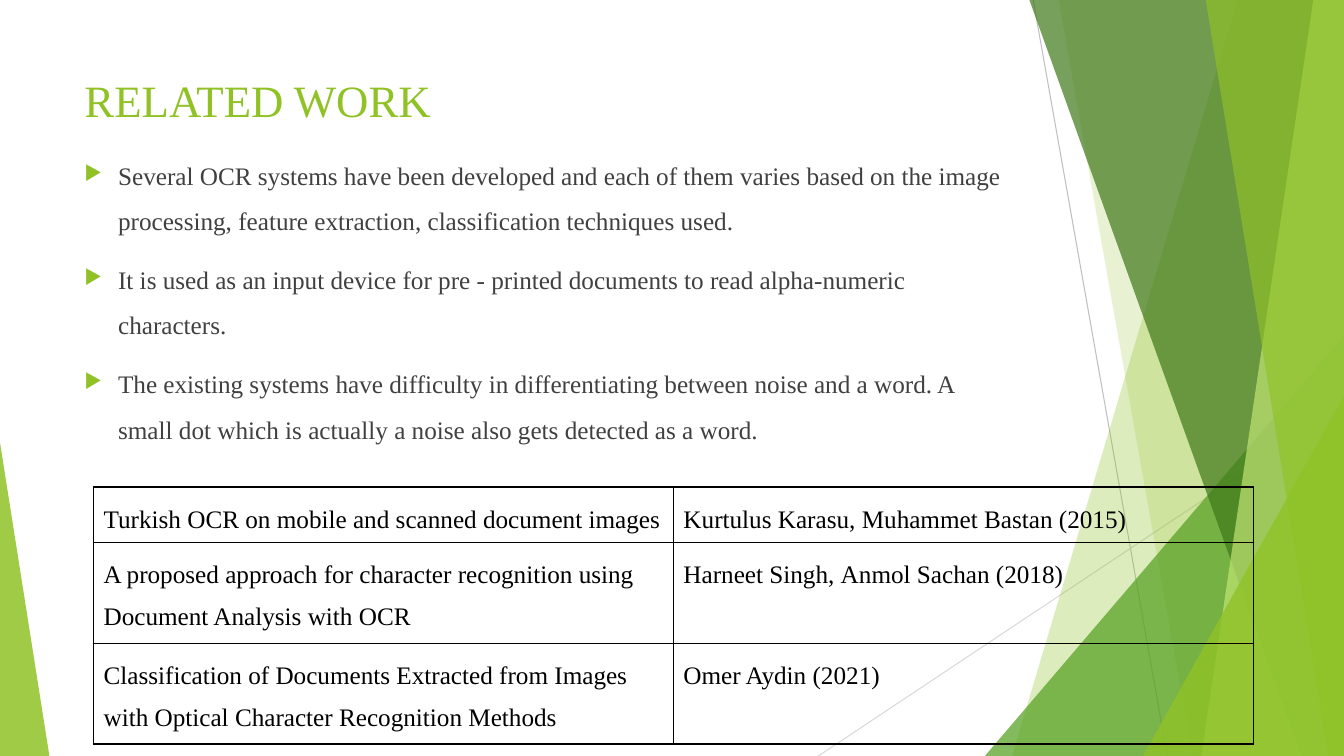
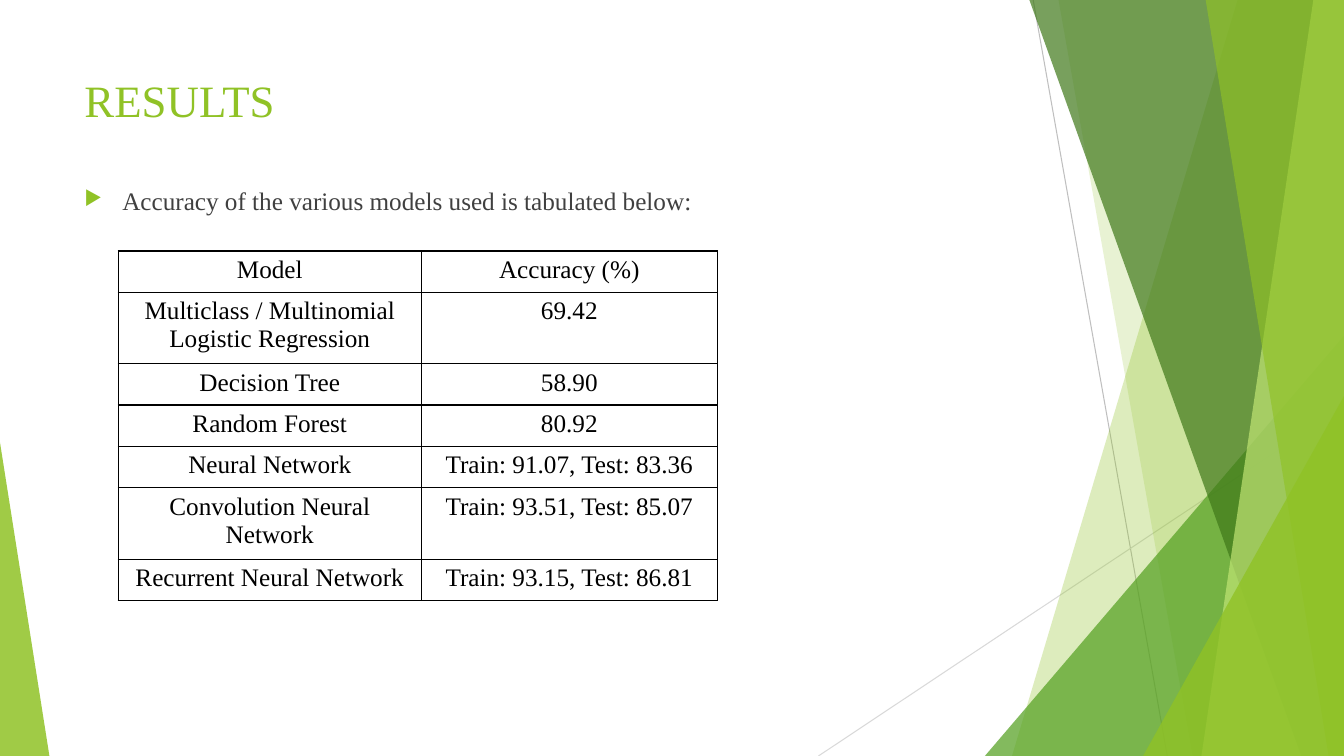
from lxml.etree import SubElement
from pptx import Presentation
from pptx.dml.color import RGBColor
from pptx.enum.shapes import MSO_CONNECTOR as Connector, MSO_SHAPE as Shape
from pptx.enum.text import MSO_ANCHOR as Anchor, PP_ALIGN as Align
from pptx.oxml import parse_xml
from pptx.oxml.ns import nsdecls, qn
from pptx.util import Pt

WIDTH, HEIGHT = 960, 540
BAND_TOP = -0.6
LEFT, TEXT_WIDTH = 53.3, 676.8
FONT = "Times New Roman"
TITLE_SIZE, BODY_SIZE = 32, 18
COLORS = {
    "lime": "90C226",
    "green": "54A021",
    "forest": "3F7819",
    "pale": "C0E474",
    "text": "404040",
    "black": "000000",
    "gray": "BFBFBF",
    "light_gray": "D9D9D9",
}

RELATED_POINTS = [
    "Several OCR systems have been developed and each of them varies based on the image "
    "processing,\u00a0feature extraction, classification techniques used.",
    "It is used as an input device for pre - printed documents to read alpha-numeric characters.",
    "The existing systems have difficulty in differentiating between noise and a word. "
    "A small dot which is\u00a0actually a noise also gets detected as a word.",
]
RELATED_PAPERS = [
    ("Turkish OCR on mobile and scanned document images",
     "Kurtulus Karasu, Muhammet Bastan (2015)"),
    ("A proposed approach for character recognition using Document Analysis with OCR",
     "Harneet Singh,\u00a0Anmol Sachan (2018)"),
    ("Classification of Documents Extracted from Images with Optical Character "
     "Recognition Methods", "Omer Aydin (2021)"),
]
RESULTS_POINTS = ["Accuracy of the various models used is tabulated below:"]
MODEL_ACCURACY = [
    ("Model", "Accuracy (%)"),
    ("Multiclass / Multinomial Logistic Regression", "69.42"),
    ("Decision Tree", "58.90"),
    ("Random Forest", "80.92"),
    ("Neural Network", "Train: 91.07, Test: 83.36"),
    ("Convolution Neural Network", "Train: 93.51, Test: 85.07"),
    ("Recurrent Neural Network", "Train: 93.15, Test: 86.81"),
]


def rgb(name):
    return RGBColor.from_string(COLORS[name])


def paint(shape, color, opacity):
    shape.shadow.inherit = False
    shape.line.fill.background()
    shape.fill.solid()
    shape.fill.fore_color.rgb = rgb(color)
    solid = shape.fill._xPr.find(qn("a:solidFill"))
    SubElement(solid[0], qn("a:alpha"), val=str(opacity * 1000))


def add_line(slide, start, end, color):
    line = slide.shapes.add_connector(Connector.STRAIGHT, *map(Pt, start + end))
    line.line.color.rgb = rgb(color)
    line.line.width = Pt(0.75)
    SubElement(line._element.spPr, qn("a:effectLst"))


def add_band(slide, top_x, bottom_x, color, opacity):
    builder = slide.shapes.build_freeform(Pt(top_x), Pt(BAND_TOP))
    corners = [(WIDTH, BAND_TOP), (WIDTH, HEIGHT), (bottom_x, HEIGHT)]
    builder.add_line_segments([(Pt(x), Pt(y)) for x, y in corners], close=True)
    paint(builder.convert_to_shape(), color, opacity)


def add_corner(slide, left, right, top, apex, color, opacity):
    shape = slide.shapes.add_shape(
        Shape.ISOSCELES_TRIANGLE, Pt(left), Pt(top), Pt(right - left), Pt(HEIGHT - top))
    shape.adjustments[0] = apex
    paint(shape, color, opacity)


def add_facets(slide):
    add_line(slide, (738, 0), (833.8, HEIGHT), "gray")
    add_line(slide, (WIDTH, 290.2), (584.6, HEIGHT), "light_gray")
    add_band(slide, 884.2, 722.9, "lime", 30)
    add_band(slide, 756, 851.8, "lime", 20)
    add_corner(slide, 703.5, WIDTH, 239.8, 1, "green", 72)
    add_band(slide, 735.1, 929.5, "forest", 70)
    add_band(slide, 938.2, 858.2, "pale", 70)
    add_band(slide, 861.1, 949, "lime", 65)
    add_corner(slide, 816.5, WIDTH, 283, 1, "lime", 80)
    add_corner(slide, 0, 35.3, 316.1, 0, "lime", 85)


def add_run(paragraph, text, size, color):
    run = paragraph.add_run()
    run.text = text
    run.font.name = FONT
    run.font.size = Pt(size)
    run.font.color.rgb = rgb(color)


def add_text_frame(slide, top, height):
    box = slide.shapes.add_textbox(Pt(LEFT), Pt(top), Pt(TEXT_WIDTH), Pt(height))
    frame = box.text_frame
    frame.word_wrap = True
    frame.vertical_anchor = Anchor.TOP
    return frame


def add_title(slide, text):
    frame = add_text_frame(slide, 48.2, 103.7)
    add_run(frame.paragraphs[0], text, TITLE_SIZE, "lime")


def set_bullet(paragraph, indent):
    properties = paragraph._p.get_or_add_pPr()
    properties.set("marL", str(Pt(indent)))
    properties.set("indent", str(-Pt(indent)))
    color = SubElement(properties, qn("a:buClr"))
    SubElement(color, qn("a:srgbClr"), val=COLORS["lime"])
    SubElement(properties, qn("a:buSzPct"), val="80000")
    SubElement(properties, qn("a:buChar"), char="\u25b6")


def add_bullets(slide, texts, top, height, indent, before, after=0, spacing=1.0):
    frame = add_text_frame(slide, top, height)
    for index, text in enumerate(texts):
        paragraph = frame.add_paragraph() if index else frame.paragraphs[0]
        paragraph.line_spacing = spacing
        paragraph.space_before = Pt(before)
        paragraph.space_after = Pt(after)
        set_bullet(paragraph, indent)
        add_run(paragraph, text, BODY_SIZE, "text")


def set_borders(cell):
    properties = cell._tc.get_or_add_tcPr()
    for index, side in enumerate(("lnL", "lnR", "lnT", "lnB")):
        properties.insert(index, parse_xml(
            f'<a:{side} {nsdecls("a")} w="{Pt(1)}"><a:solidFill>'
            f'<a:srgbClr val="{COLORS["black"]}"/></a:solidFill></a:{side}>'))


def add_grid(slide, rows, left, top, widths, heights, align, spacing=1.0):
    table = slide.shapes.add_table(
        len(rows), len(widths), Pt(left), Pt(top), Pt(sum(widths)), Pt(sum(heights))).table
    table.first_row = table.horz_banding = False
    for column, width in zip(table.columns, widths):
        column.width = Pt(width)
    for row, height, texts in zip(table.rows, heights, rows):
        row.height = Pt(height)
        for cell, text in zip(row.cells, texts):
            cell.fill.background()
            set_borders(cell)
            paragraph = cell.text_frame.paragraphs[0]
            paragraph.alignment = align
            paragraph.line_spacing = spacing
            add_run(paragraph, text, BODY_SIZE, "black")


def add_slide(presentation, title):
    slide = presentation.slides.add_slide(presentation.slide_layouts[6])
    add_facets(slide)
    add_title(slide, title)
    return slide


def main():
    presentation = Presentation()
    presentation.slide_width, presentation.slide_height = Pt(WIDTH), Pt(HEIGHT)

    related = add_slide(presentation, "RELATED WORK")
    add_bullets(related, RELATED_POINTS, 100.1, 305.3, 24, before=3.6, after=6, spacing=1.5)
    add_grid(related, RELATED_PAPERS, 66.8, 347.8, [414.2] * 2, [37.2, 66.8, 66.8],
             Align.LEFT, spacing=1.5)

    results = add_slide(presentation, "RESULTS")
    add_bullets(results, RESULTS_POINTS, 128.9, 308.2, 27, before=10)
    single, double = 29.5, 51.1
    add_grid(results, MODEL_ACCURACY, 84.4, 179.3, [216.7, 211.2],
             [single, double, single, single, single, double, single], Align.CENTER)

    presentation.save("out.pptx")


main()
